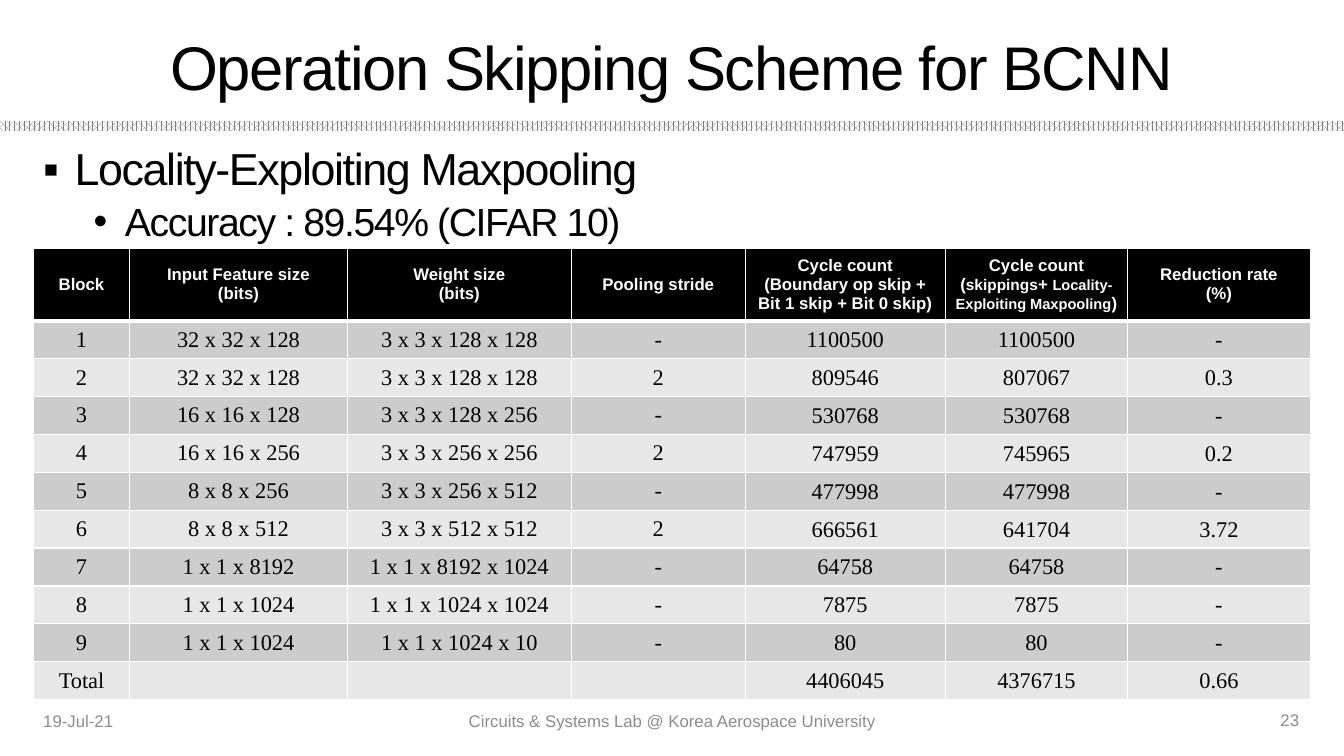
from lxml import etree
from pptx import Presentation
from pptx import util as u
from pptx.dml.color import RGBColor
from pptx.enum import dml, shapes, text
from pptx.oxml.ns import qn

BLACK = RGBColor(0x00, 0x00, 0x00)
WHITE = RGBColor(0xFF, 0xFF, 0xFF)
FOOTER_GRAY = RGBColor(0x8C, 0x8C, 0x8C)
RULE_GRAY = RGBColor(0x80, 0x80, 0x80)
BANDS = (RGBColor(0xCC, 0xCC, 0xCC), RGBColor(0xE7, 0xE7, 0xE7))
LEFT, CENTER, RIGHT = text.PP_ALIGN.LEFT, text.PP_ALIGN.CENTER, text.PP_ALIGN.RIGHT
TOP, MIDDLE = text.MSO_ANCHOR.TOP, text.MSO_ANCHOR.MIDDLE

COLUMN_WIDTHS = (2.43, 5.48, 5.65, 4.38, 5.04, 4.6, 4.6)
TABLE_HEIGHT, HEADER_HEIGHT = 11.38, 1.83
FIRST_COUNT_COLUMN = 4

HEADERS = (
    [[("Block", 12)]],
    [[("Input Feature size", 12)], [("(bits)", 12)]],
    [[("Weight size", 12)], [("(bits)", 12)]],
    [[("Pooling stride", 12)]],
    [[("Cycle count", 12)], [("(Boundary op skip +", 12)], [("Bit 1 skip + Bit 0 skip)", 12)]],
    [[("Cycle count", 12)],
     [("(", 12), ("skippings", 11), ("+ ", 12), ("Locality-Exploiting Maxpooling", 10.5), (")", 12)]],
    [[("Reduction rate", 12)], [("(%)", 12)]],
)
ROWS = (
    ("1", "32 x 32 x 128", "3 x 3 x 128 x 128", "-", "1100500", "1100500", "-"),
    ("2", "32 x 32 x 128", "3 x 3 x 128 x 128", "2", "809546", "807067", "0.3"),
    ("3", "16 x 16 x 128", "3 x 3 x 128 x 256", "-", "530768", "530768", "-"),
    ("4", "16 x 16 x 256", "3 x 3 x 256 x 256", "2", "747959", "745965", "0.2"),
    ("5", "8 x 8 x 256", "3 x 3 x 256 x 512", "-", "477998", "477998", "-"),
    ("6", "8 x 8 x 512", "3 x 3 x 512 x 512", "2", "666561", "641704", "3.72"),
    ("7", "1 x 1 x 8192", "1 x 1 x 8192 x 1024", "-", "64758", "64758", "-"),
    ("8", "1 x 1 x 1024", "1 x 1 x 1024 x 1024", "-", "7875", "7875", "-"),
    ("9", "1 x 1 x 1024", "1 x 1 x 1024 x 10", "-", "80", "80", "-"),
    ("Total", "", "", "", "4406045", "4376715", "0.66"),
)


class SlideBuilder:
    heading_font = "Arial"
    number_font = "Times New Roman"

    def __init__(self, slide):
        self.slide = slide

    def run(self, paragraph, words, size, color, font=heading_font, bold=False, spacing=0):
        run = paragraph.add_run()
        run.text = words
        run.font.name = font
        run.font.size = u.Pt(size)
        run.font.bold = bold
        run.font.color.rgb = color
        if spacing:
            run.font._element.set("spc", str(spacing))

    def text_box(self, left, top, width, height, anchor=MIDDLE):
        box = self.slide.shapes.add_textbox(u.Cm(left), u.Cm(top), u.Cm(width), u.Cm(height))
        frame = box.text_frame
        frame.word_wrap = True
        frame.vertical_anchor = anchor
        return frame

    def line(self, place, words, size, color, align, spacing=0):
        paragraph = self.text_box(*place).paragraphs[0]
        paragraph.alignment = align
        self.run(paragraph, words, size, color, spacing=spacing)

    def bullets(self, place, items):
        frame = self.text_box(*place, anchor=TOP)
        for index, (words, size, symbol, indent, space) in enumerate(items):
            paragraph = frame.add_paragraph() if index else frame.paragraphs[0]
            paragraph.level = index
            paragraph.line_spacing = 0.9
            paragraph.space_before = u.Pt(space)
            properties = paragraph._p.get_or_add_pPr()
            properties.set("marL", str(u.Cm(indent)))
            properties.set("indent", str(-u.Cm(0.79)))
            etree.SubElement(properties, qn("a:buFont"), typeface=self.heading_font)
            etree.SubElement(properties, qn("a:buChar"), char=symbol)
            self.run(paragraph, words, size, BLACK, spacing=-100)

    def patterned_rule(self, left, top, width, height):
        rule = self.slide.shapes.add_shape(
            shapes.MSO_SHAPE.RECTANGLE, u.Cm(left), u.Cm(top), u.Cm(width), u.Cm(height))
        rule.shadow.inherit = False
        rule.fill.patterned()
        rule.fill.pattern = dml.MSO_PATTERN.PERCENT_70
        rule.fill.fore_color.rgb = RULE_GRAY
        rule.fill.back_color.rgb = WHITE
        rule.line.fill.background()

    def cell_style(self, cell, color, top=1, bottom=1):
        properties = cell._tc.get_or_add_tcPr()
        for side, width in (("L", 1), ("R", 1), ("T", top), ("B", bottom)):
            border = etree.SubElement(properties, qn(f"a:ln{side}"), w=str(u.Pt(width)))
            fill = etree.SubElement(border, qn("a:solidFill"))
            etree.SubElement(fill, qn("a:srgbClr"), val=str(WHITE))
        cell.fill.solid()
        cell.fill.fore_color.rgb = color
        cell.vertical_anchor = MIDDLE

    def header_cell(self, cell, lines):
        self.cell_style(cell, BLACK, bottom=3)
        for index, runs in enumerate(lines):
            frame = cell.text_frame
            paragraph = frame.add_paragraph() if index else frame.paragraphs[0]
            paragraph.alignment = CENTER
            for words, size in runs:
                self.run(paragraph, words, size, WHITE, bold=True)

    def body_cell(self, cell, words, row, column):
        self.cell_style(cell, BANDS[(row - 1) % 2], top=3 if row == 1 else 1)
        if column >= FIRST_COUNT_COLUMN or not words:
            cell.margin_left = cell.margin_right = cell.margin_top = u.Cm(0.02)
            cell.margin_bottom = u.Cm(0)
        if words:
            paragraph = cell.text_frame.paragraphs[0]
            paragraph.alignment = CENTER
            self.run(paragraph, words, 16, BLACK, font=self.number_font)

    def table(self, left, top):
        frame = self.slide.shapes.add_table(
            len(ROWS) + 1, len(HEADERS), u.Cm(left), u.Cm(top),
            u.Cm(sum(COLUMN_WIDTHS)), u.Cm(TABLE_HEIGHT))
        table = frame.table
        table.horz_banding = False
        for column, width in zip(table.columns, COLUMN_WIDTHS):
            column.width = u.Cm(width)
        for row in table.rows:
            row.height = u.Cm((TABLE_HEIGHT - HEADER_HEIGHT) / len(ROWS))
        table.rows[0].height = u.Cm(HEADER_HEIGHT)
        for column, lines in enumerate(HEADERS):
            self.header_cell(table.cell(0, column), lines)
        for row, values in enumerate(ROWS, start=1):
            for column, words in enumerate(values):
                self.body_cell(table.cell(row, column), words, row, column)


def main():
    presentation = Presentation()
    presentation.slide_width = u.Cm(33.87)
    presentation.slide_height = u.Cm(19.05)
    builder = SlideBuilder(presentation.slides.add_slide(presentation.slide_layouts[6]))

    builder.patterned_rule(0, 3.05, 33.87, 0.25)
    builder.bullets((0.84, 3.58, 32.16, 13.59), (
        ("Locality-Exploiting Maxpooling", 32, "▪", 0.79, 10),
        ("Accuracy : 89.54% (CIFAR 10)", 28, "•", 2.06, 5),
    ))
    footers = (
        ((0.84, 17.65, 7.62, 1.02), "19-Jul-21", LEFT),
        ((11.23, 17.65, 11.43, 1.02), "Circuits & Systems Lab @ Korea Aerospace University", CENTER),
        ((25.27, 17.63, 7.72, 1.02), "23", RIGHT),
    )
    for place, words, align in footers:
        builder.line(place, words, 12, FOOTER_GRAY, align)
    builder.line((0.84, 0.56, 32.16, 2.21), "Operation Skipping Scheme for BCNN", 44, BLACK, CENTER, spacing=-100)
    builder.table(0.84, 6.25)

    presentation.save("out.pptx")


if __name__ == "__main__":
    main()
